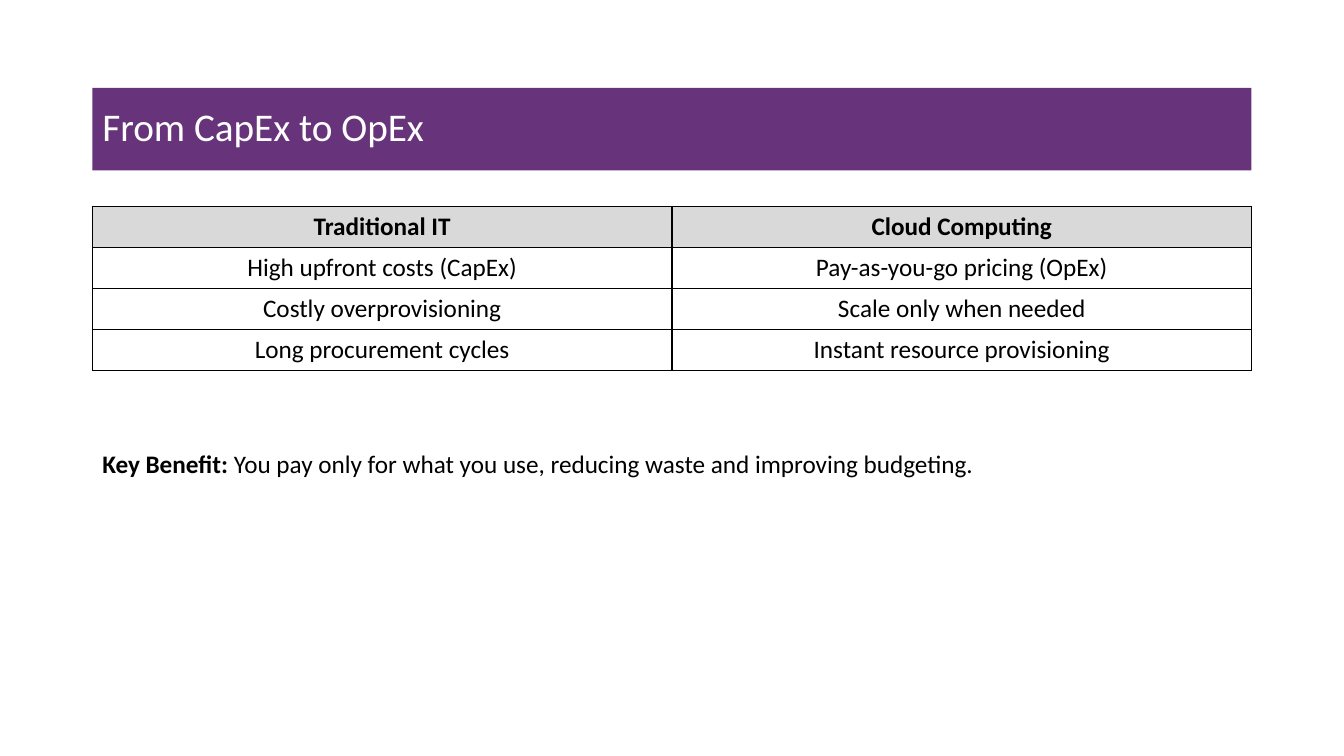
from dataclasses import dataclass

from lxml import etree
from pptx import Presentation
from pptx.dml.color import RGBColor
from pptx.enum import shapes, text
from pptx.oxml import ns
from pptx.util import Pt


@dataclass(frozen=True)
class Theme:
    """Colours, font and type sizes of the slide."""
    font: str = "Calibri"
    band: str = "67337A"
    head: str = "D9D9D9"
    ink: str = "000000"
    light: str = "FFFFFF"
    title: int = 28
    body: int = 18
    rule: int = 1


THEME = Theme()
ROWS = [
    ("Traditional IT", "Cloud Computing"),
    ("High upfront costs (CapEx)", "Pay-as-you-go pricing (OpEx)"),
    ("Costly overprovisioning", "Scale only when needed"),
    ("Long procurement cycles", "Instant resource provisioning"),
]


def add_run(para, words, size, color, bold=False):
    """Add one styled run to a paragraph."""
    run = para.add_run()
    run.text = words
    font = run.font
    font.name, font.size, font.bold = THEME.font, Pt(size), bold
    font.color.rgb = RGBColor.from_string(color)


def paint(item, color):
    """Fill a shape or cell with one colour."""
    item.fill.solid()
    item.fill.fore_color.rgb = RGBColor.from_string(color)


def add_edges(cell):
    """Draw a thin line on each side of a cell."""
    props = cell._tc.get_or_add_tcPr()
    for place, side in enumerate(("lnL", "lnR", "lnT", "lnB")):
        line = etree.Element(ns.qn(f"a:{side}"), w=str(Pt(THEME.rule)))
        fill = etree.SubElement(line, ns.qn("a:solidFill"))
        etree.SubElement(fill, ns.qn("a:srgbClr"), val=THEME.ink)
        props.insert(place, line)


def add_title(slide, box, words):
    """Place the title on a coloured band."""
    band = slide.shapes.add_shape(shapes.MSO_SHAPE.RECTANGLE, *map(Pt, box))
    band.shadow.inherit = False
    paint(band, THEME.band)
    band.line.fill.background()
    frame = band.text_frame
    frame.word_wrap = True
    frame.vertical_anchor = text.MSO_ANCHOR.MIDDLE
    para = frame.paragraphs[0]
    para.alignment = text.PP_ALIGN.LEFT
    para.line_spacing = 0.9
    add_run(para, words, THEME.title, THEME.light)


def add_grid(slide, box, rows):
    """Place a table with a shaded header and equal rows and columns."""
    wide, high = len(rows[0]), len(rows)
    grid = slide.shapes.add_table(high, wide, *map(Pt, box)).table
    grid.horz_banding = False
    for r, row in enumerate(rows):
        for c, words in enumerate(row):
            cell = grid.cell(r, c)
            cell.vertical_anchor = text.MSO_ANCHOR.MIDDLE
            paint(cell, THEME.light if r else THEME.head)
            add_edges(cell)
            para = cell.text_frame.paragraphs[0]
            para.alignment = text.PP_ALIGN.CENTER
            add_run(para, words, THEME.body, THEME.ink, r == 0)


def add_note(slide, box, label, words):
    """Place a line of text led by a bold label."""
    note = slide.shapes.add_textbox(*map(Pt, box))
    frame = note.text_frame
    frame.word_wrap = True
    frame.auto_size = text.MSO_AUTO_SIZE.SHAPE_TO_FIT_TEXT
    para = frame.paragraphs[0]
    add_run(para, label, THEME.body, THEME.ink, True)
    add_run(para, words, THEME.body, THEME.ink)


def main():
    """Build the slide and save it."""
    deck = Presentation()
    deck.slide_width, deck.slide_height = Pt(960), Pt(540)
    slide = deck.slides.add_slide(deck.slide_layouts[6])
    left, width = 66, 828
    add_title(slide, (left, 62.7, width, 59), "From CapEx to OpEx")
    add_grid(slide, (left, 147.4, width, 29.3 * len(ROWS)), ROWS)
    add_note(slide, (left, 317, 739.5, 29), "Key Benefit:",
             " You pay only for what you use, reducing waste and improving budgeting.")
    deck.save("out.pptx")


if __name__ == "__main__":
    main()
